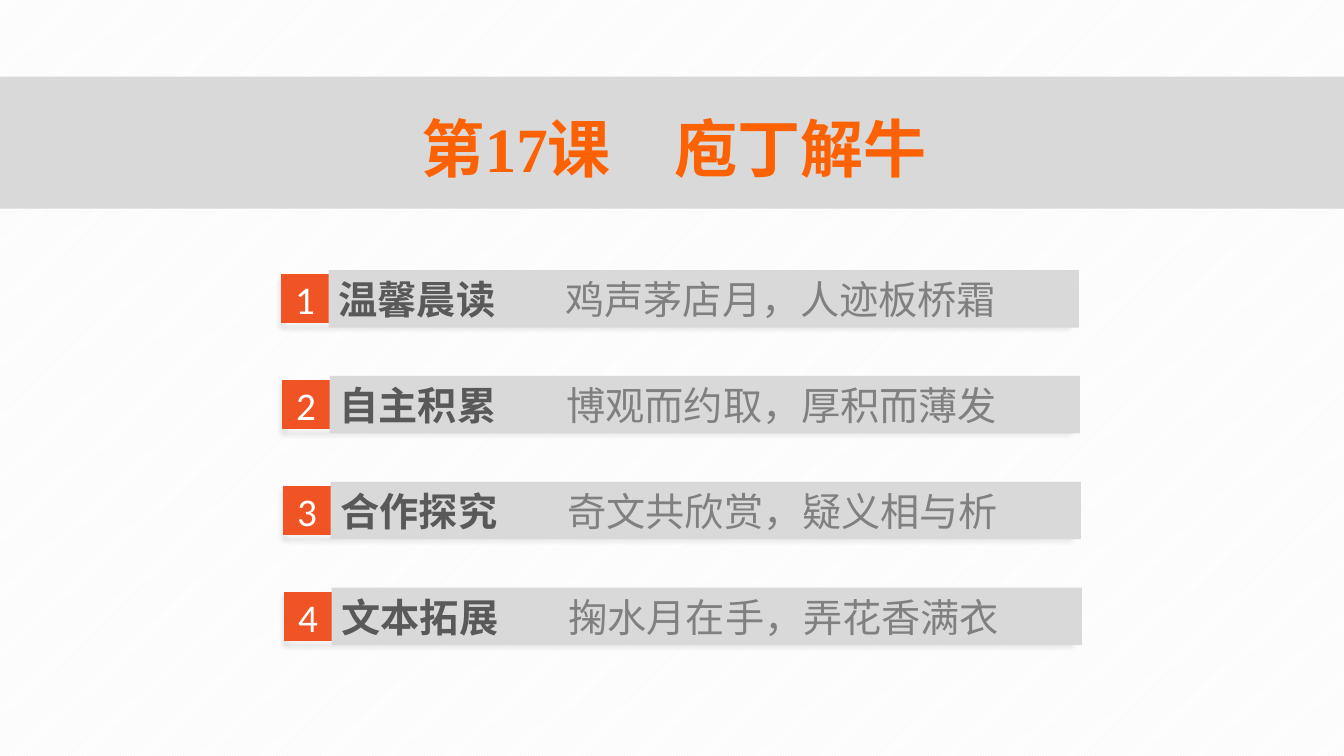
from lxml.etree import SubElement
from pptx import Presentation
from pptx.dml.color import RGBColor
from pptx.enum.dml import MSO_PATTERN
from pptx.enum.shapes import MSO_SHAPE
from pptx.enum.text import MSO_ANCHOR as Anchor, PP_ALIGN as Align
from pptx.oxml.ns import qn
from pptx.util import Inches, Pt

WHITE = RGBColor(0xFF, 0xFF, 0xFF)
STRIPE = RGBColor(0xF2, 0xF2, 0xF2)
BAND = RGBColor(0xD9, 0xD9, 0xD9)
ACCENT = RGBColor(0xF0, 0x54, 0x25)
TITLE = RGBColor(0xFC, 0x62, 0x04)
DARK = RGBColor(0x59, 0x59, 0x59)
GREY = RGBColor(0x80, 0x80, 0x80)

CJK_FONT = "Noto Sans CJK SC"
TITLE_FORMAT = {"name": "Times New Roman", "size": Pt(45), "bold": True}
NUMBER_FORMAT = {"name": "Calibri", "size": Pt(28), "bold": False}
HEADING_FORMAT = {"name": CJK_FONT, "size": Pt(28), "bold": True}
VERSE_FORMAT = {**HEADING_FORMAT, "bold": False}

SECTIONS = [
    ("温馨晨读", "鸡声茅店月，人迹板桥霜"),
    ("自主积累", "博观而约取，厚积而薄发"),
    ("合作探究", "奇文共欣赏，疑义相与析"),
    ("文本拓展", "掬水月在手，弄花香满衣"),
]


def add_rect(shapes, left, top, width, height, fill=None, line=None):
    rect = shapes.add_shape(MSO_SHAPE.RECTANGLE, Inches(left), Inches(top),
                            Inches(width), Inches(height))
    rect.shadow.inherit = False
    if fill is None:
        rect.fill.background()
    else:
        rect.fill.solid()
        rect.fill.fore_color.rgb = fill
    if line is None:
        rect.line.fill.background()
    else:
        rect.line.color.rgb = line
        rect.line.width = Pt(1)
    return rect


def add_run(paragraph, text, color, text_format):
    run = paragraph.add_run()
    run.text = text
    for attribute, value in text_format.items():
        setattr(run.font, attribute, value)
    run.font.color.rgb = color
    SubElement(run.font._element, qn("a:ea"), typeface=CJK_FONT)


def cast_shadow(rect):
    effects = rect._element.spPr.find(qn("a:effectLst"))
    shadow = SubElement(effects, qn("a:outerShdw"), blurRad=str(Pt(4)),
                        dist=str(Pt(3)), dir="5400000", algn="t", rotWithShape="0")
    black = SubElement(shadow, qn("a:srgbClr"), val="000000")
    SubElement(black, qn("a:alpha"), val="40000")


def add_tab_stop(paragraph, position):
    stops = SubElement(paragraph._p.get_or_add_pPr(), qn("a:tabLst"))
    SubElement(stops, qn("a:tab"), pos=str(Inches(position)), algn="l")


def add_title(slide, left, top, width, height):
    add_rect(slide.shapes, left, top, width, height, BAND)
    title = slide.shapes.add_textbox(Inches(left + 1.15), Inches(top + 0.29),
                                     Inches(11.07), Inches(0.82))
    frame = title.text_frame
    frame.word_wrap = True
    frame.vertical_anchor = Anchor.MIDDLE
    heading = frame.paragraphs[0]
    heading.alignment = Align.CENTER
    add_run(heading, "第17课　庖丁解牛", TITLE, TITLE_FORMAT)


def add_section(slide, left, top, width, height, number, name, verse):
    shapes = slide.shapes.add_group_shape().shapes
    cast_shadow(add_rect(shapes, left, top, width, height, line=ACCENT))

    badge = add_rect(shapes, left, top, height, height, ACCENT, ACCENT)
    badge.text_frame.vertical_anchor = Anchor.MIDDLE
    digit = badge.text_frame.paragraphs[0]
    digit.alignment = Align.CENTER
    add_run(digit, str(number), WHITE, NUMBER_FORMAT)

    bar = add_rect(shapes, left + 0.47, top - 0.05, width - 0.35, height + 0.1, BAND)
    bar.text_frame.vertical_anchor = Anchor.MIDDLE
    entry = bar.text_frame.paragraphs[0]
    entry.alignment = Align.LEFT
    add_tab_stop(entry, 2.25)
    add_run(entry, name + "\t", DARK, HEADING_FORMAT)
    add_run(entry, verse, GREY, VERSE_FORMAT)


def main():
    deck = Presentation()
    deck.slide_width = Inches(13.33)
    deck.slide_height = Inches(7.5)
    slide = deck.slides.add_slide(deck.slide_layouts[6])

    backdrop = slide.background.fill
    backdrop.patterned()
    backdrop.pattern = MSO_PATTERN.LIGHT_UPWARD_DIAGONAL
    backdrop.fore_color.rgb = STRIPE
    backdrop.back_color.rgb = WHITE

    add_title(slide, 0, 0.76, 13.33, 1.31)
    for index, (name, verse) in enumerate(SECTIONS):
        add_section(slide, 2.79 + 0.01 * index, 2.73 + 1.05 * index, 7.79, 0.47,
                    index + 1, name, verse)
    deck.save("out.pptx")


if __name__ == "__main__":
    main()
